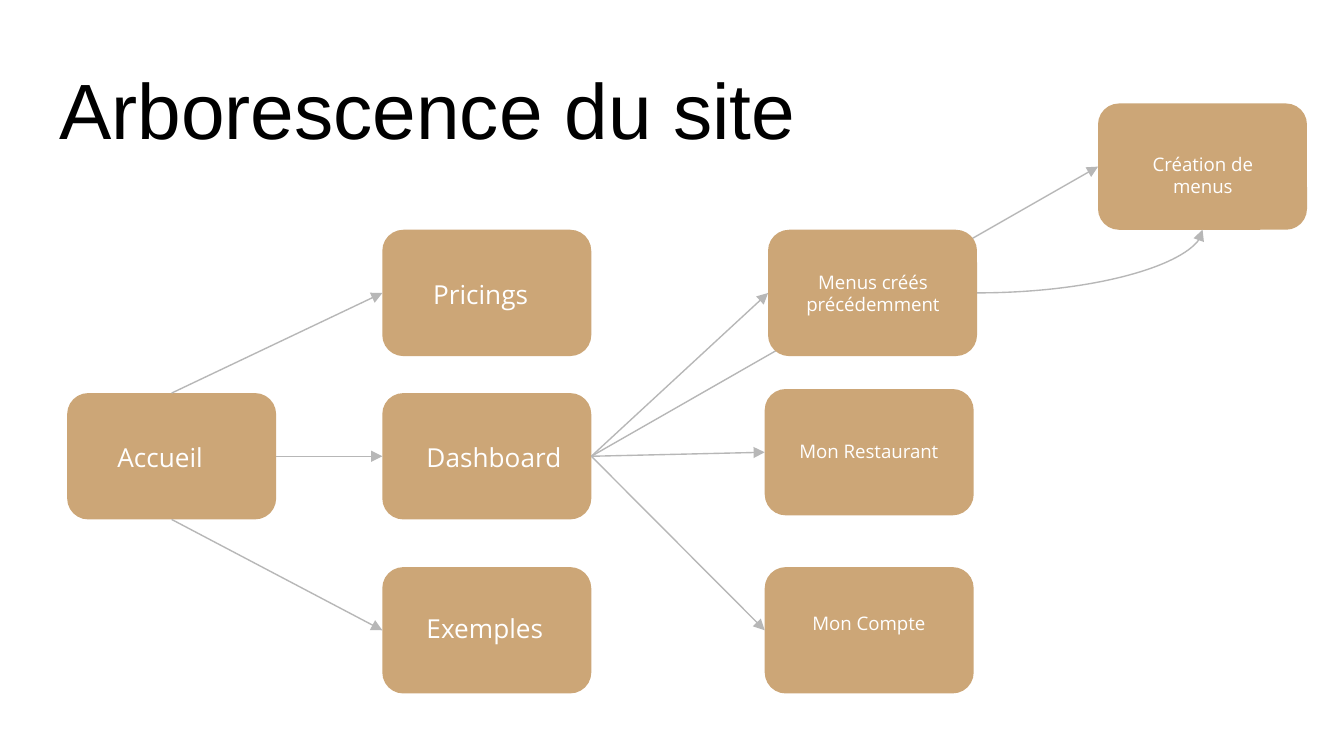
from pptx import Presentation
from pptx.dml.color import RGBColor
from pptx.enum.shapes import MSO_CONNECTOR, MSO_SHAPE
from pptx.enum.text import MSO_ANCHOR, MSO_AUTO_SIZE, PP_ALIGN
from pptx.oxml.ns import qn
from pptx.util import Emu, Pt
from lxml.etree import SubElement

PX = 4572  # EMU per px, 200 px to the inch
WHITE = RGBColor(0xFF, 0xFF, 0xFF)
BLACK = RGBColor(0x00, 0x00, 0x00)
TAN = RGBColor(0xCC, 0xA6, 0x77)
GREY = RGBColor(0xB7, 0xB7, 0xB7)
TOP, LEFT, BOTTOM, RIGHT = range(4)
BOX_W, BOX_H = 311, 188


def px(*values):
    return [Emu(v * PX) for v in values]


def write(tf, text, font="Open Sans", size=14, color=WHITE,
          align=PP_ALIGN.LEFT, anchor=MSO_ANCHOR.TOP):
    """Fill a text frame, one paragraph per line of text."""
    tf.word_wrap = True
    tf.auto_size = MSO_AUTO_SIZE.NONE
    tf.vertical_anchor = anchor
    tf.margin_left, tf.margin_top, tf.margin_right, tf.margin_bottom = px(20, 20, 20, 20)
    for i, line in enumerate(text.split("\n")):
        p = tf.paragraphs[0] if i == 0 else tf.add_paragraph()
        p.alignment = align
        r = p.add_run()
        r.text = line
        r.font.name = font
        r.font.size = Pt(size)
        r.font.color.rgb = color


class SiteMap:
    def __init__(self, slide):
        self.slide = slide
        self.shapes = slide.shapes

    def title(self, text, x, y, w, h):
        sp = self.shapes.title
        sp.left, sp.top, sp.width, sp.height = px(x, y, w, h)
        write(sp.text_frame, text, font="Arial", size=42, color=BLACK,
              anchor=MSO_ANCHOR.BOTTOM)

    def box(self, x, y):
        sp = self.shapes.add_shape(MSO_SHAPE.ROUNDED_RECTANGLE, *px(x, y, BOX_W, BOX_H))
        sp.shadow.inherit = False
        sp.fill.solid()
        sp.fill.fore_color.rgb = TAN
        sp.line.fill.background()
        return sp

    def label(self, text, x, y, w, **fmt):
        sp = self.shapes.add_textbox(*px(x, y, w, 84))
        write(sp.text_frame, text, **fmt)

    def arrow(self, start, start_side, end, end_side, curved=False, behind=False):
        kind = MSO_CONNECTOR.CURVE if curved else MSO_CONNECTOR.STRAIGHT
        cxn = self.shapes.add_connector(kind, 0, 0, 0, 0)
        cxn.begin_connect(start, start_side)
        cxn.end_connect(end, end_side)
        cxn.line.color.rgb = GREY
        cxn.line.width = Pt(0.75)
        sp_pr = cxn._element.spPr
        SubElement(sp_pr.find(qn("a:ln")), qn("a:tailEnd"), type="triangle")
        SubElement(sp_pr, qn("a:effectLst"))
        if curved:  # a single quarter bend
            sp_pr.find(qn("a:prstGeom")).set("prst", "curvedConnector2")
        if behind:
            self.shapes._spTree.insert(2, cxn._element)


def main():
    prs = Presentation()
    prs.slide_width, prs.slide_height = px(2000, 1125)
    site = SiteMap(prs.slides.add_slide(prs.slide_layouts[5]))
    site.title("Arborescence du site", 68, 69, 1864, 182)

    home = site.box(100, 585)
    pricing, dashboard, examples = [site.box(569, y) for y in (342, 585, 844)]
    menus = site.box(1143, 342)
    restaurant, account = [site.box(1138, y) for y in (579, 844)]
    creation = site.box(1634, 154)

    site.arrow(dashboard, RIGHT, creation, LEFT, behind=True)
    for side, page in ((TOP, pricing), (RIGHT, dashboard), (BOTTOM, examples)):
        site.arrow(home, side, page, LEFT)
    for page in (menus, restaurant, account):
        site.arrow(dashboard, RIGHT, page, LEFT)
    site.arrow(menus, RIGHT, creation, BOTTOM, curved=True)

    for text, x, y, w in (("Accueil", 155, 637, 228),
                          ("Pricings", 625, 394, 228),
                          ("Dashboard", 615, 637, 248),
                          ("Exemples", 615, 891, 248)):
        site.label(text, x, y, w)
    for text, x, y in (("Menus créés précédemment", 1175, 383),
                       ("Mon Restaurant", 1169, 635),
                       ("Mon Compte", 1169, 891),
                       ("Création de\nmenus", 1666, 207)):
        site.label(text, x, y, 248, size=10, align=PP_ALIGN.CENTER)

    prs.save("out.pptx")


if __name__ == "__main__":
    main()
